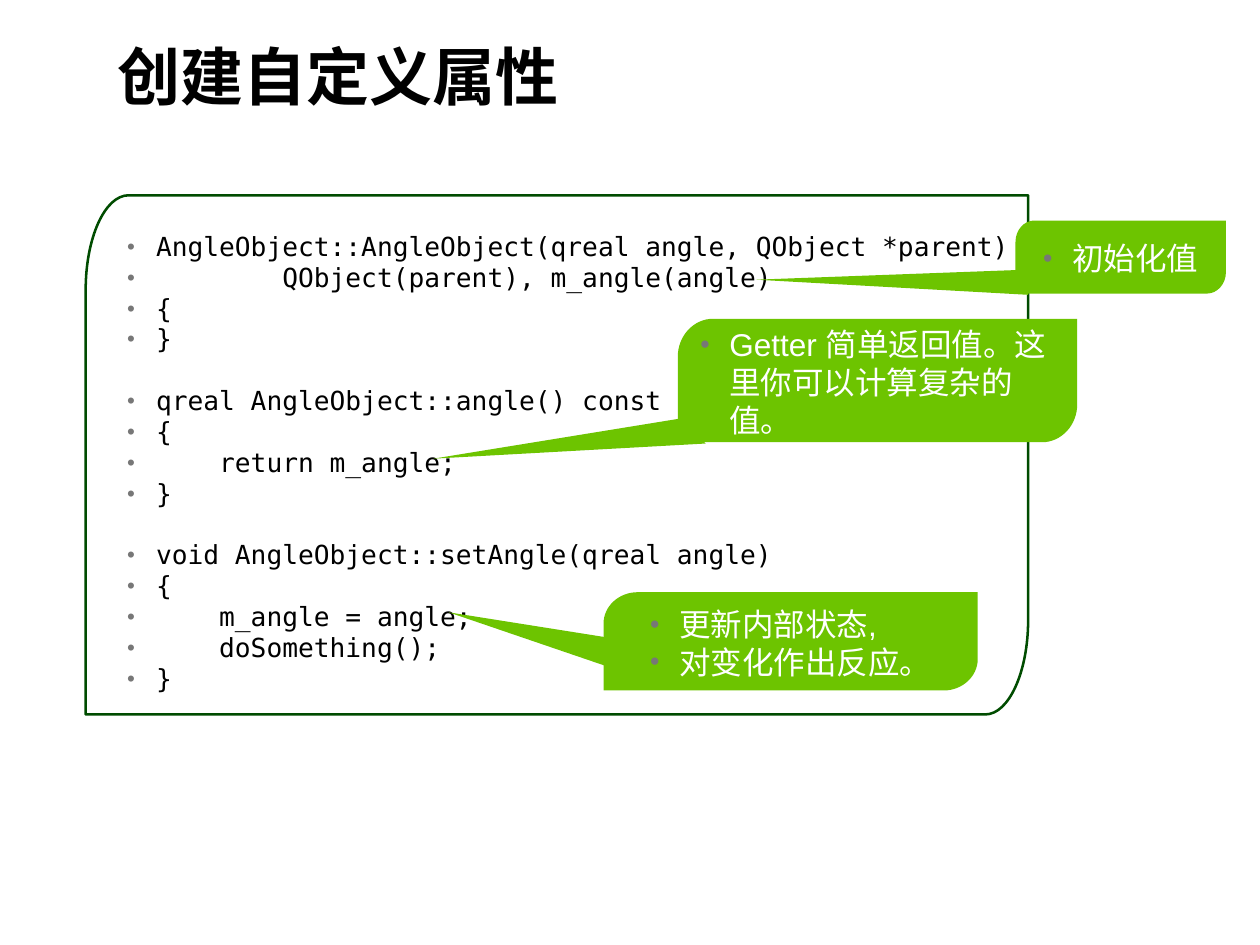
from dataclasses import dataclass

from lxml import etree
from pptx import Presentation
from pptx.dml.color import RGBColor
from pptx.enum.text import MSO_ANCHOR, PP_ALIGN
from pptx.oxml.ns import qn
from pptx.shapes.autoshape import Shape
from pptx.slide import Slide
from pptx.text.text import TextFrame
from pptx.util import Inches, Pt

LEFT = PP_ALIGN.LEFT
TOP = MSO_ANCHOR.TOP
MIDDLE = MSO_ANCHOR.MIDDLE

COLORS = {
    "text": "000000",
    "bullet": "777777",
    "frame": "004C00",
    "callout": "6DC400",
    "callout_text": "FFFFFF",
}
HEADING_FONT = "Arial"
CODE_FONT = "DejaVu Sans Mono"
BULLET_INDENT = 0.23
ARC_PULL = 0.55
ROUNDED_CORNERS = (2, 5)
BLANK_LINE = 17.6

CODE_BLOCKS = [
    """AngleObject::AngleObject(qreal angle, QObject *parent) :
        QObject(parent), m_angle(angle)
{
}""",
    """qreal AngleObject::angle() const
{
    return m_angle;
}""",
    """void AngleObject::setAngle(qreal angle)
{
    m_angle = angle;
    doSomething();
}""",
]

Point = tuple[float, float]


@dataclass
class Leaf:
    left: float
    top: float
    width: float
    height: float
    radius_x: float
    radius_y: float


@dataclass
class Callout:
    body: Leaf
    tail: list[Point]
    text: str
    left_inset: float


CALLOUTS = [
    Callout(Leaf(8.06, 1.75, 1.67, 0.58, 0.15, 0.17),
            [(8.16, 2.14), (6, 2.22), (8.16, 2.34)],
            "初始化值", 0.22),
    Callout(Leaf(5.38, 2.53, 3.17, 0.98, 0.28, 0.3),
            [(5.41, 3.32), (3.44, 3.64), (5.6, 3.52)],
            "Getter 简单返回值。这里你可以计算复杂的值。", 0.18),
    Callout(Leaf(4.79, 4.7, 2.97, 0.78, 0.27, 0.25),
            [(4.82, 5.29), (3.56, 4.86), (5.01, 5.09)],
            "更新内部状态,\n对变化作出反应。", 0.37),
]


def color(name: str) -> RGBColor:
    return RGBColor.from_string(COLORS[name])


def draw_outline(page: Slide, points: list[Point]) -> Shape:
    corners = [(Inches(x), Inches(y)) for x, y in points]
    builder = page.shapes.build_freeform(*corners[0])
    builder.add_line_segments(corners[1:], close=True)
    shape = builder.convert_to_shape()
    shape.shadow.inherit = False
    return shape


def fill_plain(shape: Shape) -> None:
    shape.fill.solid()
    shape.fill.fore_color.rgb = color("callout")
    shape.line.fill.background()


def round_corner(segment: etree._Element) -> None:
    end = segment[0]
    start = segment.getprevious()[-1]
    start_x, start_y = int(start.get("x")), int(start.get("y"))
    end_x, end_y = int(end.get("x")), int(end.get("y"))
    controls = [
        (start_x, round(start_y + ARC_PULL * (end_y - start_y))),
        (round(end_x + ARC_PULL * (start_x - end_x)), end_y),
    ]
    curve = etree.Element(qn("a:cubicBezTo"))
    for x, y in controls + [(end_x, end_y)]:
        etree.SubElement(curve, qn("a:pt"), x=str(x), y=str(y))
    segment.getparent().replace(segment, curve)


def draw_leaf(page: Slide, leaf: Leaf) -> Shape:
    right, bottom = leaf.left + leaf.width, leaf.top + leaf.height
    start = (leaf.left + leaf.radius_x, leaf.top)
    shape = draw_outline(page, [
        start,
        (right, leaf.top),
        (right, bottom - leaf.radius_y),
        (right - leaf.radius_x, bottom),
        (leaf.left, bottom),
        (leaf.left, leaf.top + leaf.radius_y),
        start,
    ])
    segments = list(shape._element.iter(qn("a:lnTo")))
    for index in ROUNDED_CORNERS:
        round_corner(segments[index])
    return shape


def set_frame(frame: TextFrame, insets: tuple[float, float, float, float],
              anchor: MSO_ANCHOR) -> None:
    frame.word_wrap = True
    frame.vertical_anchor = anchor
    (frame.margin_left, frame.margin_top,
     frame.margin_right, frame.margin_bottom) = map(Inches, insets)


def format_list(frame: TextFrame, font: str, size: float, color_name: str) -> None:
    for para in frame.paragraphs:
        para.alignment = LEFT
        properties = para._p.get_or_add_pPr()
        properties.set("marL", str(Inches(BULLET_INDENT)))
        properties.set("indent", str(-Inches(BULLET_INDENT)))
        properties.set("hangingPunct", "0")
        bullet_color = etree.SubElement(properties, qn("a:buClr"))
        etree.SubElement(bullet_color, qn("a:srgbClr"), val=COLORS["bullet"])
        etree.SubElement(properties, qn("a:buSzPct"), val="85000")
        etree.SubElement(properties, qn("a:buFont"), typeface=HEADING_FONT)
        etree.SubElement(properties, qn("a:buChar"), char="•")
        for span in para.runs:
            span.font.name = font
            span.font.size = Pt(size)
            span.font.color.rgb = color(color_name)


def draw_title(page: Slide) -> None:
    title = page.shapes.title
    title.left, title.top = Inches(0.83), Inches(0.25)
    title.width, title.height = Inches(8.67), Inches(0.78)
    title.text_frame.text = "创建自定义属性"
    set_frame(title.text_frame, (0.1, 0.05, 0.1, 0.13), MIDDLE)
    para = title.text_frame.paragraphs[0]
    para.alignment = LEFT
    font = para.runs[0].font
    font.name, font.size, font.bold = HEADING_FONT, Pt(36), True
    font.color.rgb = color("text")


def draw_code(page: Slide) -> None:
    frame_shape = draw_leaf(page, Leaf(0.68, 1.55, 7.48, 4.12, 0.34, 0.75))
    frame_shape.fill.background()
    frame_shape.line.color.rgb = color("frame")
    frame_shape.line.width = Pt(1.45)

    box = page.shapes.add_textbox(Inches(0.91), Inches(1.79), Inches(7.45), Inches(3.97))
    frame = box.text_frame
    set_frame(frame, (0.1, 0.05, 0, 0.05), TOP)
    frame.text = "\n".join(CODE_BLOCKS)
    format_list(frame, CODE_FONT, 15, "text")
    for para in frame.paragraphs:
        para.line_spacing = 0.98
    first_line = 0
    for block in CODE_BLOCKS[:-1]:
        first_line += len(block.splitlines())
        frame.paragraphs[first_line].space_before = Pt(BLANK_LINE)


def draw_callout(page: Slide, callout: Callout) -> None:
    fill_plain(draw_outline(page, callout.tail))
    body = draw_leaf(page, callout.body)
    fill_plain(body)
    set_frame(body.text_frame, (callout.left_inset, 0.08, 0.11, 0.06), MIDDLE)
    body.text_frame.text = callout.text
    format_list(body.text_frame, HEADING_FONT, 18, "callout_text")


def main() -> None:
    deck = Presentation()
    deck.slide_width, deck.slide_height = Inches(10), Inches(7.5)
    page = deck.slides.add_slide(deck.slide_layouts[5])
    draw_title(page)
    draw_code(page)
    for callout in CALLOUTS:
        draw_callout(page, callout)
    deck.save("out.pptx")


if __name__ == "__main__":
    main()
